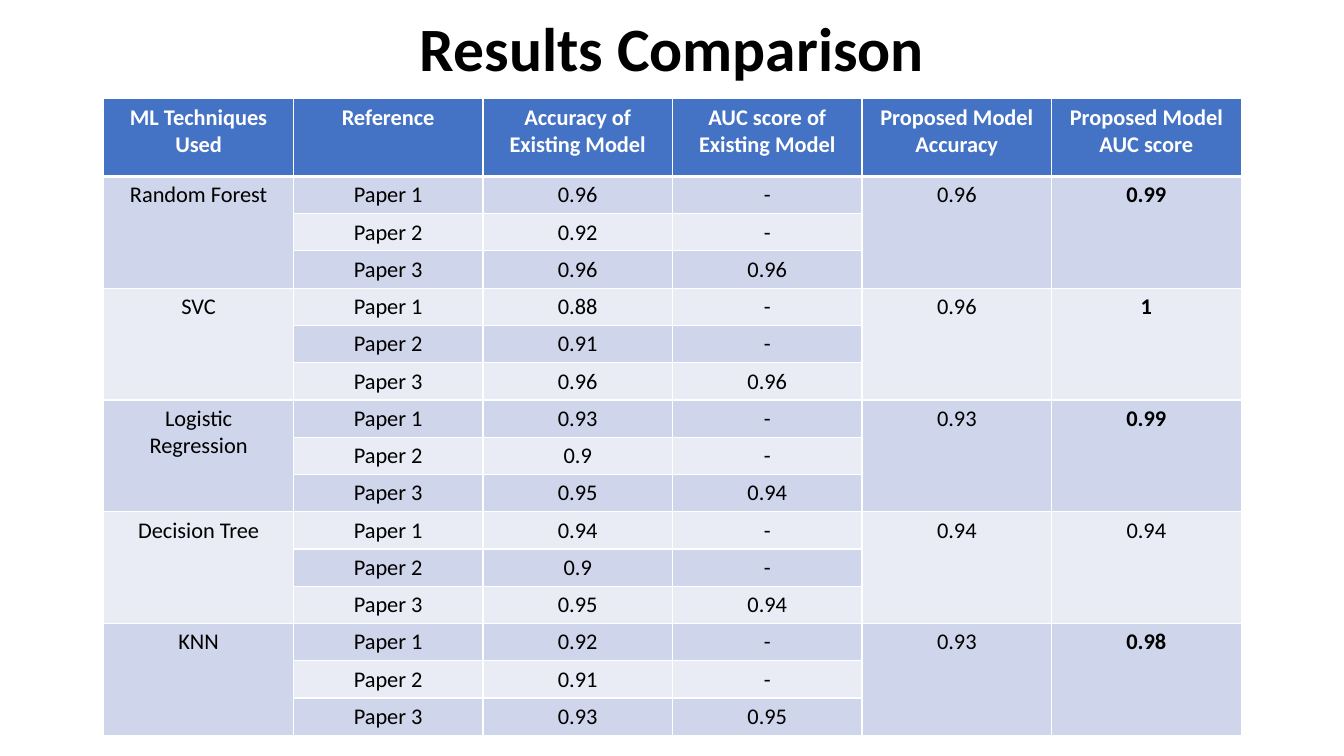
from pptx import Presentation
from pptx.dml import color
from pptx.enum import text
from pptx.oxml import parse_xml
from pptx.oxml import ns
from pptx.util import Inches, Pt


def rgb(hex_value):
    return color.RGBColor.from_string(hex_value)


class ResultsSlide:
    font = "Calibri"
    black, white = "000000", "FFFFFF"
    header_fill = "4472C4"
    bands = ("CFD5EA", "E9EBF5")

    def __init__(self, deck):
        self.slide = deck.slides.add_slide(deck.slide_layouts[6])

    def label(self, frame, words, size, ink, bold):
        paragraph = frame.paragraphs[0]
        paragraph.text = words
        paragraph.alignment = text.PP_ALIGN.CENTER
        paragraph.font.name = self.font
        paragraph.font.size = Pt(size)
        paragraph.font.bold = bold
        paragraph.font.color.rgb = rgb(ink)
        return paragraph

    def title(self, words, left, top, width, height):
        box = self.slide.shapes.add_textbox(
            Inches(left), Inches(top), Inches(width), Inches(height))
        frame = box.text_frame
        frame.word_wrap = True
        frame.vertical_anchor = text.MSO_ANCHOR.MIDDLE
        self.label(frame, words, 44, self.black, True).line_spacing = 0.9

    def borders(self, cell, bottom):
        properties = cell._tc.get_or_add_tcPr()
        for side, points in (("L", 1), ("R", 1), ("T", 1), ("B", bottom)):
            properties.append(parse_xml(
                f'<a:ln{side} {ns.nsdecls("a")} w="{Pt(points)}"><a:solidFill>'
                f'<a:srgbClr val="{self.white}"/></a:solidFill></a:ln{side}>'))

    def cell(self, cell, words, fill, ink, bold=False, bottom=1):
        self.borders(cell, bottom)
        cell.fill.solid()
        cell.fill.fore_color.rgb = rgb(fill)
        self.label(cell.text_frame, words, 16, ink, bold)

    def table(self, headings, techniques, left, top, column_width, header_height, row_height):
        papers = 3
        row_count = 1 + papers * len(techniques)
        grid = self.slide.shapes.add_table(
            row_count, len(headings), Inches(left), Inches(top),
            Inches(column_width * len(headings)),
            Inches(header_height + row_height * (row_count - 1))).table
        for column in grid.columns:
            column.width = Inches(column_width)
        for index, row in enumerate(grid.rows):
            row.height = Inches(row_height if index else header_height)
        for column, heading in enumerate(headings):
            self.cell(grid.cell(0, column), heading, self.header_fill, self.white, True, 3)

        for group, (name, accuracies, auc, model_accuracy, model_auc) in enumerate(techniques):
            first = 1 + group * papers
            for paper, accuracy in enumerate(accuracies):
                row = first + paper
                last = paper == papers - 1
                values = (name if paper == 0 else "", f"Paper {paper + 1}", accuracy,
                          auc if last else "-",
                          model_accuracy if paper == 0 else "",
                          model_auc if paper == 0 else "")
                for column, value in enumerate(values):
                    best = column == 5 and model_auc > model_accuracy
                    self.cell(grid.cell(row, column), value,
                              self.bands[(row - 1) % 2], self.black, best)
            for column in (0, 4, 5):
                grid.cell(first, column).merge(grid.cell(first + papers - 1, column))


def main():
    deck = Presentation()
    deck.slide_width, deck.slide_height = Inches(13.33), Inches(7.5)
    results = ResultsSlide(deck)
    results.title("Results Comparison", 0.92, 0.12, 11.5, 0.78)
    headings = ("ML Techniques Used", "Reference", "Accuracy of Existing Model",
                "AUC score of Existing Model", "Proposed Model Accuracy",
                "Proposed Model AUC score")
    techniques = (
        ("Random Forest", ("0.96", "0.92", "0.96"), "0.96", "0.96", "0.99"),
        ("SVC", ("0.88", "0.91", "0.96"), "0.96", "0.96", "1"),
        ("Logistic Regression", ("0.93", "0.9", "0.95"), "0.94", "0.93", "0.99"),
        ("Decision Tree", ("0.94", "0.9", "0.95"), "0.94", "0.94", "0.94"),
        ("KNN", ("0.92", "0.91", "0.93"), "0.95", "0.93", "0.98"),
    )
    results.table(headings, techniques, 1.03, 0.98, 1.88, 0.77, 0.37)
    deck.save("out.pptx")


if __name__ == "__main__":
    main()
